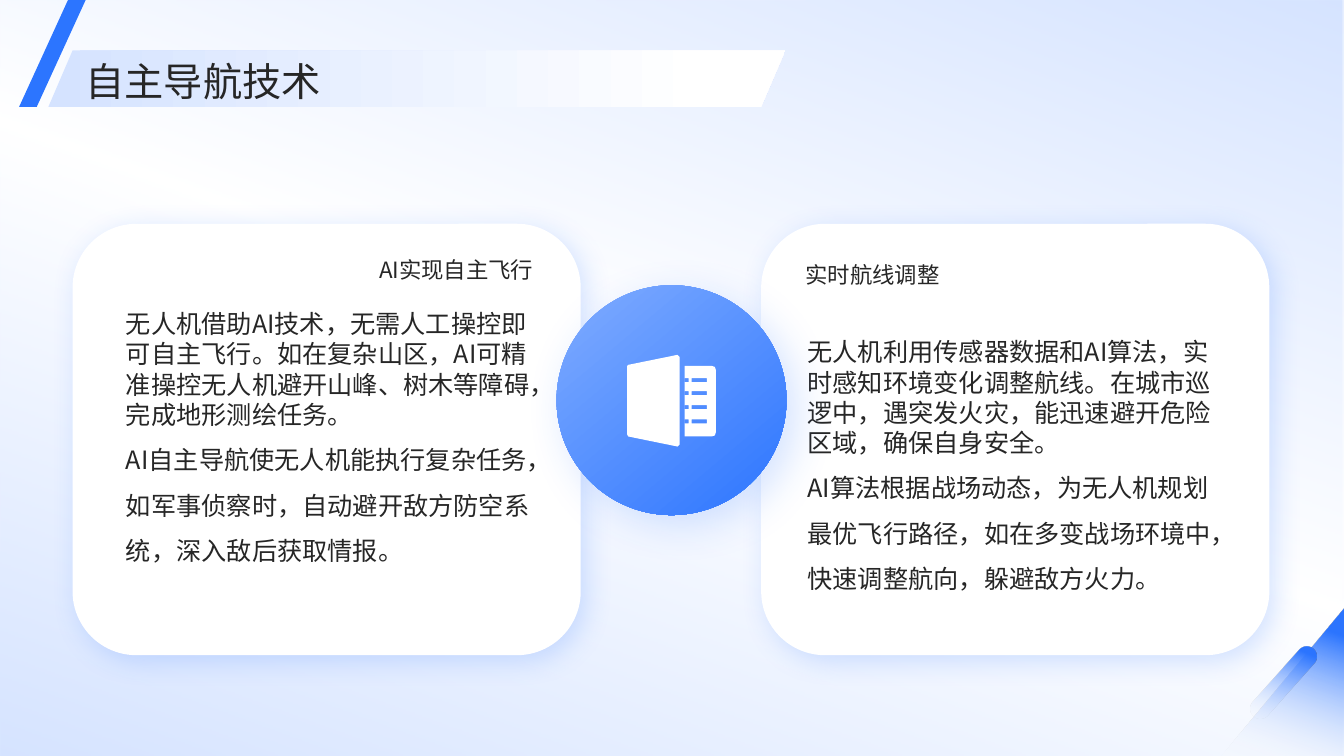
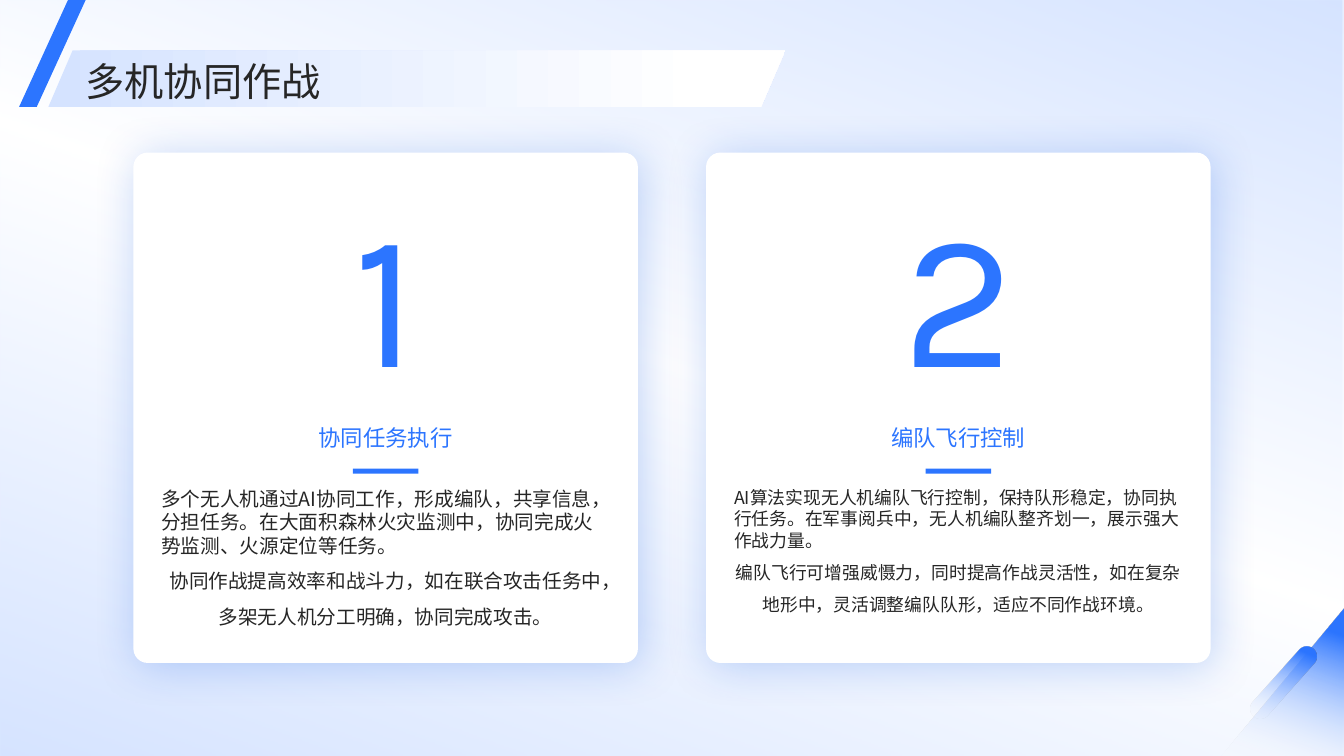
from dataclasses import dataclass

from lxml import etree
from pptx import Presentation
from pptx.dml.color import RGBColor
from pptx.enum import shapes, text
from pptx.oxml.ns import qn
from pptx.util import Inches, Pt

KIND = shapes.MSO_SHAPE
ALIGN = text.PP_ALIGN
ANCHOR = text.MSO_ANCHOR


@dataclass(frozen=True)
class Theme:
    font: str = "Noto Sans CJK SC"
    digit: str = "Karla"
    ink: str = "262626"
    blue: str = "2C75FF"
    sky: str = "80ACFF"
    pale: str = "D5E3FF"
    deep: str = "004EE0"
    white: str = "FFFFFF"
    title: float = 28
    head: float = 16
    body: float = 18
    number: float = 138


T = Theme()
# Gradients: angle, then stops of position, colour and opacity
FADE = (250, [(0, T.white, 0), (85, T.blue, 100)])
WASH = (290, [(0, T.pale, 100), (51, T.white, 97), (100, T.pale, 100)])
BAND = (0, [(0, T.pale, 100), (89, T.white, 100)])
DISC = (50, [(0, T.sky, 100), (100, T.blue, 100)])
# Shadows: colour, opacity, blur, distance
SOFT = (T.blue, 20, 20, 6)
LIFT = (T.blue, 20, 30, 10)
GLOW = (T.deep, 24, 33, 3)


# Paint helpers
def node(root, tag, **attrs):
    return etree.SubElement(root, qn(tag), {k: str(v) for k, v in attrs.items()})


def tint(root, color, alpha):
    clr = node(root, "a:srgbClr", val=color)
    if alpha < 100:
        node(clr, "a:alpha", val=alpha * 1000)


def blend(shape, angle, stops):
    shape.fill.gradient()
    grad = shape._element.spPr.find(qn("a:gradFill"))
    grad.clear()
    grad.set("rotWithShape", "1")
    group = node(grad, "a:gsLst")
    for pos, color, alpha in stops:
        tint(node(group, "a:gs", pos=pos * 1000), color, alpha)
    node(grad, "a:lin", ang=angle * 60000, scaled=0)


def paint(shape, fill, line=None, shadow=None):
    if isinstance(fill, tuple):
        blend(shape, *fill)
    else:
        shape.fill.solid()
        shape.fill.fore_color.rgb = RGBColor.from_string(fill)
    if line:
        shape.line.color.rgb = RGBColor.from_string(line)
        shape.line.width = Pt(1)
    else:
        shape.line.fill.background()
    shape.shadow.inherit = False
    if shadow:
        color, alpha, blur, dist = shadow
        effects = shape._element.spPr.find(qn("a:effectLst"))
        outer = node(effects, "a:outerShdw", blurRad=Pt(blur), dist=Pt(dist),
                     dir=45 * 60000, algn="tl", rotWithShape=0)
        tint(outer, color, alpha)


# Element helpers
def block(slide, kind, box, fill, adj=None, turn=0, flip=False, **look):
    shape = slide.shapes.add_shape(kind, *map(Inches, box))
    if adj is not None:
        shape.adjustments[0] = adj
    shape.rotation = turn
    if flip:
        shape._element.spPr.xfrm.set("flipH", "1")
    paint(shape, fill, **look)


def style(para, words, size, color, font, align, space):
    para.alignment = align
    para.line_spacing = space
    run = para.add_run()
    run.text = words
    run.font.size = Pt(size)
    run.font.color.rgb = RGBColor.from_string(color)
    run.font.name = font
    node(run.font._element, "a:ea", typeface=font)


def write(slide, words, box, size=T.body, color=T.ink, font=T.font,
          align=ALIGN.LEFT, space=1.0, anchor=ANCHOR.MIDDLE):
    frame = slide.shapes.add_textbox(*map(Inches, box)).text_frame
    frame.word_wrap = True
    frame.vertical_anchor = anchor
    frame.margin_left = frame.margin_right = 0
    frame.margin_top = frame.margin_bottom = 0
    # The lead paragraph is tight and left; the last takes the given format
    *lead, last = words if isinstance(words, list) else [words]
    for item in lead:
        style(frame.paragraphs[0], item, size, color, font, ALIGN.LEFT, 1.0)
    para = frame.add_paragraph() if lead else frame.paragraphs[0]
    style(para, last, size, color, font, align, space)


def rect(left, top, right, low):
    return [(left, top), (right, top), (right, low), (left, low)]


def icon(slide):
    panel = [(6.22, 3.63), (6.23, 3.62), (6.72, 3.52), (6.74, 3.54),
             (6.74, 4.41), (6.72, 4.43), (6.23, 4.33), (6.22, 4.31)]
    page = [(6.79, 3.63), (7.06, 3.63), (7.09, 3.64), (7.1, 3.67),
            (7.1, 4.29), (7.09, 4.32), (7.06, 4.33), (6.79, 4.33)]
    loops = [panel, page]
    for top in (3.75, 3.88, 4.02, 4.16):
        loops += [rect(left, top, right, top + 0.04)
                  for left, right in ((6.79, 6.83), (6.86, 7.01))]
    loops = [[(Inches(x), Inches(y)) for x, y in loop] for loop in loops]
    pen = slide.shapes.build_freeform(*loops[0][0])
    for loop in loops:
        if loop is not loops[0]:
            pen.move_to(*loop[0])
        pen.add_line_segments(loop[1:], close=True)
    paint(pen.convert_to_shape(), T.white)


# Shared parts
def base(deck):
    slide = deck.slides.add_slide(deck.slide_layouts[6])
    block(slide, KIND.RECTANGLE, (0, 0, 13.33, 7.5), WASH)
    block(slide, KIND.RIGHT_TRIANGLE, (12.12, 6.03, 1.21, 1.47), FADE, flip=True)
    block(slide, KIND.ROUNDED_RECTANGLE, (12.63, 6.33, 0.2, 0.88), FADE,
          adj=0.5, turn=41.8)
    return slide


def header(slide, words):
    block(slide, KIND.PARALLELOGRAM, (0.48, 0.5, 7.31, 0.56), BAND, adj=0.429)
    write(slide, words, (0.85, 0.52, 11.75, 0.51), size=T.title, space=1.1)
    block(slide, KIND.PARALLELOGRAM, (0.19, 0, 0.66, 1.06), T.blue, adj=0.735)


# Cards
def panel(slide, left, head, words, spot, start, align):
    block(slide, KIND.ROUNDED_RECTANGLE, (left, 2.22, 5.04, 4.28), T.white,
          adj=0.148, flip=True, shadow=SOFT)
    write(slide, head, (*spot, 4.13, 0.76), size=T.head, align=align, space=1.3)
    write(slide, words, (*start, 4.13, 3), space=1.5, anchor=ANCHOR.TOP)


def card(slide, index, head, words, size):
    left = 1.33 + 5.68 * index
    inner = left + 0.27
    mid = {"align": ALIGN.CENTER}
    block(slide, KIND.ROUNDED_RECTANGLE, (left, 1.52, 4.99, 5.05), T.white,
          adj=0.027, line=T.white, shadow=GLOW)
    write(slide, str(index + 1), (inner, 1.48, 4.45, 2.79), size=T.number,
          color=T.blue, font=T.digit, **mid)
    write(slide, head, (inner, 4.21, 4.45, 0.3), size=T.head, color=T.blue,
          anchor=ANCHOR.TOP, **mid)
    block(slide, KIND.RECTANGLE, (left + 2.17, 4.65, 0.65, 0.05), T.blue)
    write(slide, words, (inner, 4.83, 4.45, 1.59), size=size, space=1.5,
          anchor=ANCHOR.TOP, **mid)


# Slides
def route(deck):
    slide = base(deck)
    panel(slide, 0.72, "AI实现自主飞行", [
        "无人机借助AI技术，无需人工操控即可自主飞行。如在复杂山区，AI可精准操控无人机避开山峰、树木等障碍，完成地形测绘任务。",
        "AI自主导航使无人机能执行复杂任务，如军事侦察时，自动避开敌方防空系统，深入敌后获取情报。",
    ], (1.16, 2.25), (1.25, 3.06), ALIGN.RIGHT)
    panel(slide, 7.55, "实时航线调整", [
        "无人机利用传感器数据和AI算法，实时感知环境变化调整航线。在城市巡逻中，遇突发火灾，能迅速避开危险区域，确保自身安全。",
        "AI算法根据战场动态，为无人机规划最优飞行路径，如在多变战场环境中，快速调整航向，躲避敌方火力。",
    ], (7.99, 2.3), (8.01, 3.34), ALIGN.LEFT)
    block(slide, KIND.OVAL, (5.52, 2.83, 2.28, 2.28), DISC, shadow=LIFT)
    icon(slide)
    header(slide, "自主导航技术")


def team(deck):
    slide = base(deck)
    card(slide, 0, "协同任务执行", [
        "多个无人机通过AI协同工作，形成编队，共享信息，分担任务。在大面积森林火灾监测中，协同完成火势监测、火源定位等任务。",
        "协同作战提高效率和战斗力，如在联合攻击任务中，多架无人机分工明确，协同完成攻击。",
    ], 14)
    card(slide, 1, "编队飞行控制", [
        "AI算法实现无人机编队飞行控制，保持队形稳定，协同执行任务。在军事阅兵中，无人机编队整齐划一，展示强大作战力量。",
        "编队飞行可增强威慑力，同时提高作战灵活性，如在复杂地形中，灵活调整编队队形，适应不同作战环境。",
    ], 12.7)
    header(slide, "多机协同作战")


def main():
    deck = Presentation()
    deck.slide_width, deck.slide_height = Inches(13.33), Inches(7.5)
    route(deck)
    team(deck)
    deck.save("out.pptx")


if __name__ == "__main__":
    main()
